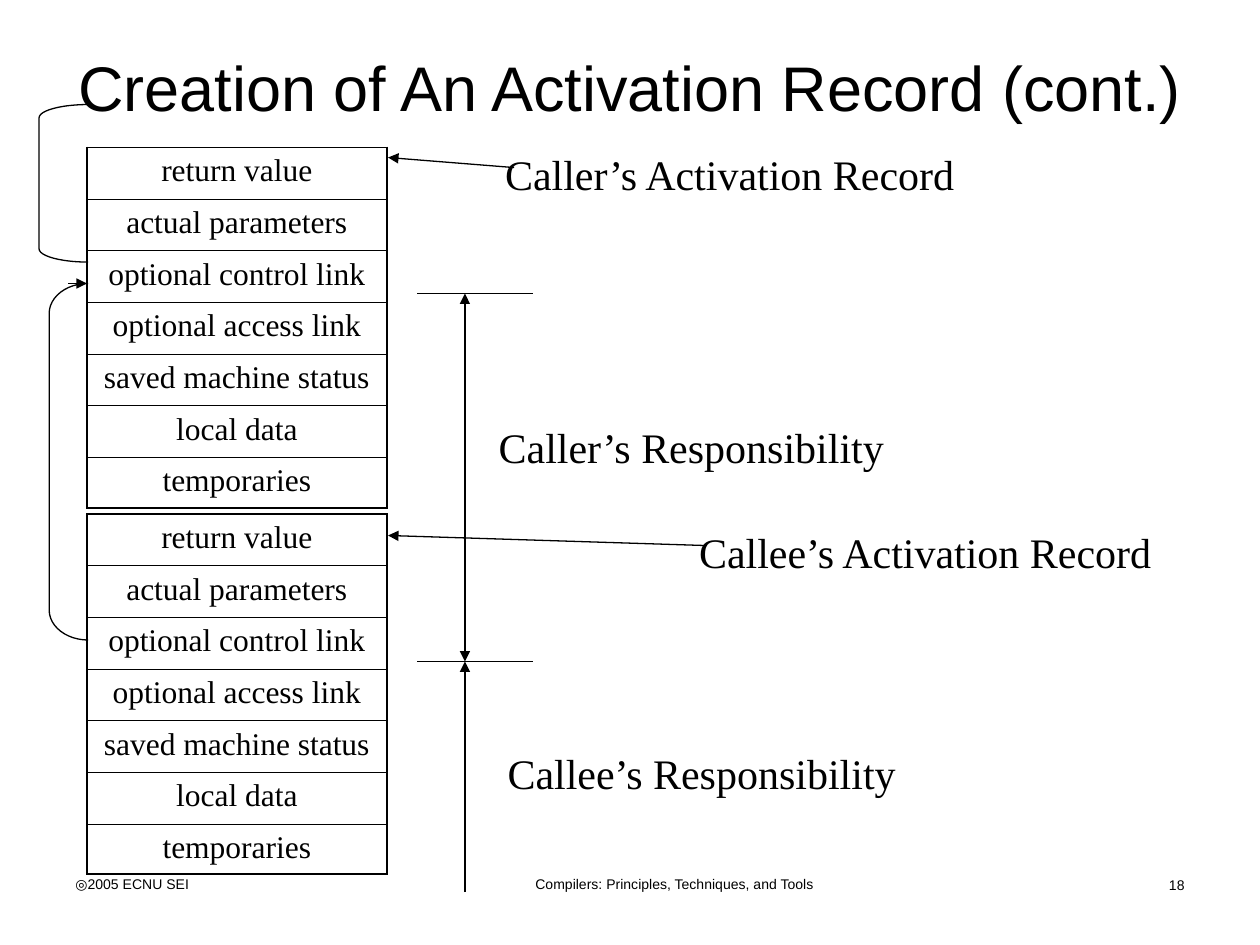
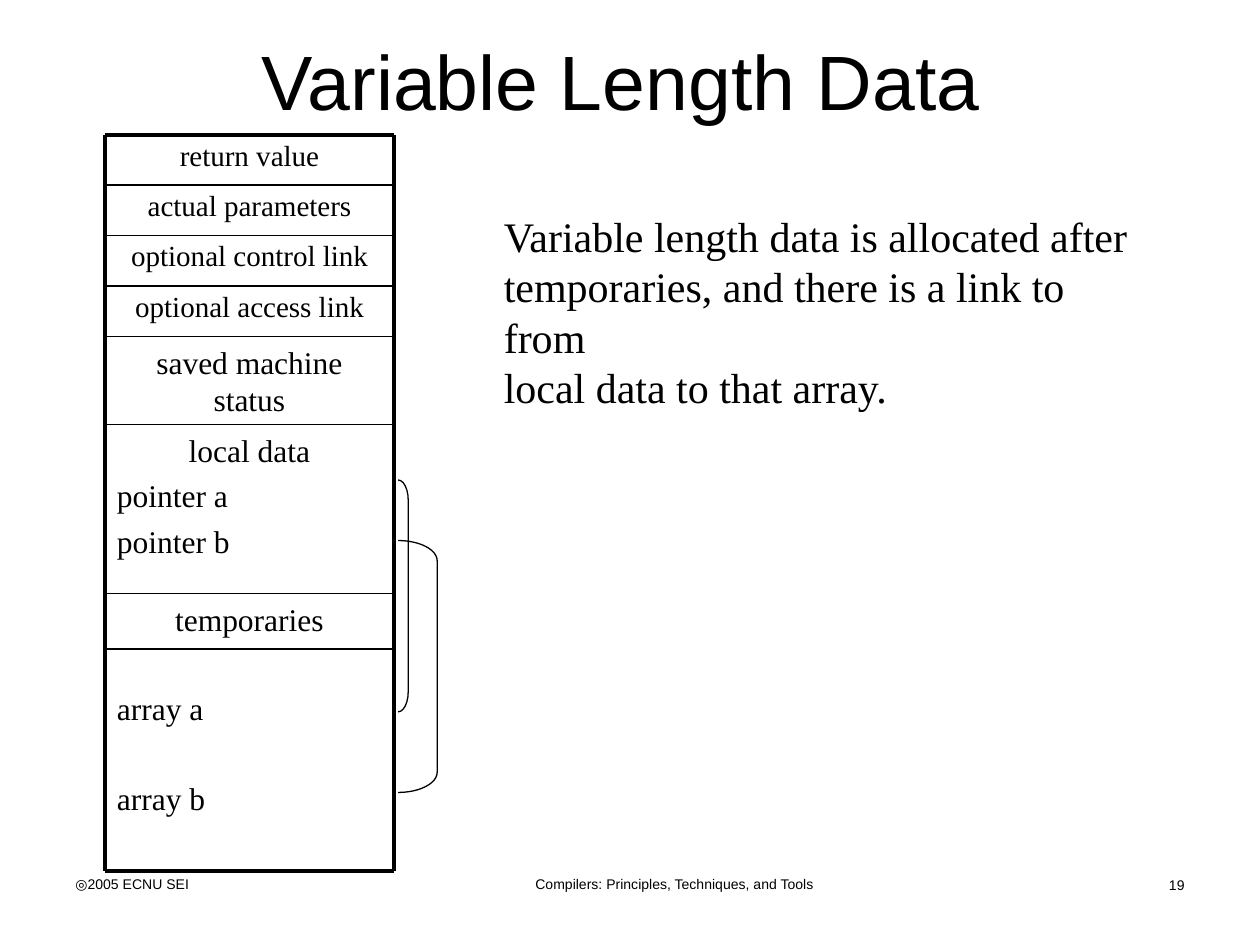
from itertools import accumulate
from lxml.etree import SubElement
from pptx import Presentation
from pptx.dml.color import RGBColor
from pptx.enum.shapes import MSO_CONNECTOR, MSO_SHAPE
from pptx.enum.text import MSO_ANCHOR, MSO_AUTO_SIZE, PP_ALIGN
from pptx.oxml.ns import qn
from pptx.util import Inches, Pt

COLORS = {"ink": "000000", "paper": "FFFFFF"}
SANS, SERIF = "Arial", "Times New Roman"
LEFT, CENTER, RIGHT = PP_ALIGN.LEFT, PP_ALIGN.CENTER, PP_ALIGN.RIGHT

FIELDS = ["return value", "actual parameters", "optional control link",
          "optional access link", "saved machine status", "local data", "temporaries"]

RECORD_LEFT, RECORD_WIDTH = 0.69, 2.38
RECORD_TOPS = [1.17, 4.08]
FIELD_HEIGHTS = [0.41] * 6 + [0.4]
CONTROL_LINKS = [((0.39, 2.25, 0.31, 2.83), 0.77), ((0.31, 0.83, 0.39, 1.25), 0.27)]
RECORD_LABELS = [
    ("Caller’s Responsibility", (3.86, 3.3, 3.26, 0.5)),
    ("Callee’s Responsibility", (3.93, 5.88, 3.3, 0.5)),
    ("Caller’s Activation Record", (3.91, 1.13, 3.79, 0.5)),
    ("Callee’s Activation Record", (5.45, 4.13, 3.83, 0.5)),
]
SPAN_X, SPAN_TOP, SPAN_SPLIT, SPAN_BOTTOM = 3.69, 2.33, 5.25, 7.08
POINTERS = [((0.54, 2.25), (0.69, 2.25)), ((5.61, 4.33), (3.08, 4.25)),
            ((4.08, 1.33), (3.08, 1.25)),
            ((SPAN_X, SPAN_BOTTOM), (SPAN_X, SPAN_SPLIT))]

LAYOUT_LEFT, LAYOUT_RIGHT, LAYOUT_TOP = 0.83, 3.13, 1.07
SECTION_HEIGHTS = [0.4] * 4 + [0.7, 1.34, 2.2]
COMPACT_SECTIONS = 4
SECTION_DETAILS = {"local data": (["pointer a", "pointer b"], 4.5),
                   "temporaries": (["array a", "array b"], 29.7)}
ARRAY_DIVIDER_Y = 5.15
ARRAY_LINKS = [((3.16, 3.81, 0.08, 1.84), 2), ((3.16, 4.29, 0.31, 2), 0.52)]
EXPLANATION = ["Variable length data is allocated after",
               "temporaries, and there is a link to from",
               "local data to that array."]


def color(name):
    return RGBColor.from_string(COLORS[name])


def style(paragraph, size, font, align=LEFT):
    paragraph.alignment = align
    for run in paragraph.runs:
        run.font.size, run.font.name = Pt(size), font
        run.font.color.rgb = color("ink")


def add_text(slide, box, lines, size, font=SERIF, align=LEFT, wrap=True):
    frame = slide.shapes.add_textbox(*map(Inches, box)).text_frame
    frame.word_wrap = wrap
    frame.auto_size = MSO_AUTO_SIZE.NONE if wrap else MSO_AUTO_SIZE.SHAPE_TO_FIT_TEXT
    frame.text = "\n".join(lines)
    for paragraph in frame.paragraphs:
        style(paragraph, size, font, align)
    return frame


def add_line(slide, start, end, width=0.75, arrows=()):
    line = slide.shapes.add_connector(MSO_CONNECTOR.STRAIGHT, *map(Inches, (*start, *end)))
    line.line.color.rgb = color("ink")
    line.line.width = Pt(width)
    properties = line.line._get_or_add_ln()
    for arrow in arrows:
        SubElement(properties, qn(f"a:{arrow}"), type="triangle")
    SubElement(line._element.spPr, qn("a:effectLst"))


def add_bracket(slide, kind, box, bend):
    bracket = slide.shapes.add_shape(kind, *map(Inches, box))
    bracket.adjustments[0] = bend
    bracket.shadow.inherit = False
    bracket.fill.background()
    bracket.line.color.rgb = color("ink")
    bracket.line.width = Pt(0.75)


def add_border(cell, side, width):
    border = SubElement(cell._tc.get_or_add_tcPr(), qn(f"a:ln{side}"), w=str(Pt(width)))
    fill = SubElement(border, qn("a:solidFill"))
    SubElement(fill, qn("a:srgbClr"), val=COLORS["ink"])


def add_record(slide, top):
    box = (RECORD_LEFT, top, RECORD_WIDTH, sum(FIELD_HEIGHTS))
    record = slide.shapes.add_table(len(FIELDS), 1, *map(Inches, box)).table
    record.first_row = record.horz_banding = False
    last = len(FIELDS) - 1
    for i, (field, height) in enumerate(zip(FIELDS, FIELD_HEIGHTS)):
        record.rows[i].height = Inches(height)
        cell = record.cell(i, 0)
        cell.text_frame.text = field
        style(cell.text_frame.paragraphs[0], 18, SERIF, CENTER)
        widths = {"L": 1.08, "R": 1.08, "T": 0.45 if i else 1.08,
                  "B": 0.45 if i < last else 1.08}
        for side, width in widths.items():
            add_border(cell, side, width)
        cell.fill.background()


def add_slide(deck, title, title_box, title_size, number):
    slide = deck.slides.add_slide(deck.slide_layouts[6])
    slide.background.fill.solid()
    slide.background.fill.fore_color.rgb = color("paper")
    heading = add_text(slide, title_box, [title], title_size, SANS, CENTER)
    heading.vertical_anchor = MSO_ANCHOR.MIDDLE
    footers = [("Compilers: Principles, Techniques, and Tools", (3.27, 6.9, 4.17, 0.28), CENTER),
               (str(number), (8.15, 6.91, 1.35, 0.23), RIGHT),
               ("◎2005 ECNU SEI", (0.5, 6.9, 2.33, 0.31), LEFT)]
    for text, box, align in footers:
        add_text(slide, box, [text], 8, SANS, align)
    return slide


def build_activation_records(deck):
    slide = add_slide(deck, "Creation of An Activation Record (cont.)",
                      (0.5, 0.3, 9, 0.77), 36, 18)
    for top in RECORD_TOPS:
        add_record(slide, top)
    for box, bend in CONTROL_LINKS:
        add_bracket(slide, MSO_SHAPE.LEFT_BRACKET, box, bend)
    add_line(slide, (SPAN_X, SPAN_TOP), (SPAN_X, SPAN_SPLIT), arrows=("headEnd", "tailEnd"))
    for y in (SPAN_TOP, SPAN_SPLIT):
        add_line(slide, (3.31, y), (4.23, y))
    for start, end in POINTERS:
        add_line(slide, start, end, arrows=("tailEnd",))
    for label, box in RECORD_LABELS:
        add_text(slide, box, [label], 24, wrap=False)


def build_variable_length(deck):
    slide = add_slide(deck, "Variable Length Data", (0.43, 0.21, 9, 0.85), 44, 19)
    edges = list(accumulate(SECTION_HEIGHTS, initial=LAYOUT_TOP))
    for i, (field, top, height) in enumerate(zip(FIELDS, edges, SECTION_HEIGHTS)):
        details, gap = SECTION_DETAILS.get(field, ([], 0))
        compact = i < COMPACT_SECTIONS
        section = add_text(slide, (LAYOUT_LEFT, top, LAYOUT_RIGHT - LAYOUT_LEFT, height),
                           [field, *details], 16.6 if compact else 18)
        heading, *items = section.paragraphs
        heading.alignment = CENTER
        if compact:
            heading.line_spacing = 0.9
        for item in items:
            item.space_before = Pt(gap)
    for y in edges:
        outer = y in (edges[0], edges[-1])
        add_line(slide, (LAYOUT_LEFT, y), (LAYOUT_RIGHT, y), 2.25 if outer else 1)
    for x in (LAYOUT_LEFT, LAYOUT_RIGHT):
        add_line(slide, (x, edges[0]), (x, edges[-1]), 2.25)
    add_line(slide, (LAYOUT_LEFT, ARRAY_DIVIDER_Y), (LAYOUT_RIGHT, ARRAY_DIVIDER_Y))
    for box, bend in ARRAY_LINKS:
        add_bracket(slide, MSO_SHAPE.RIGHT_BRACKET, box, bend)
    add_text(slide, (3.9, 1.62, 5.38, 1.3), EXPLANATION, 24, wrap=False)


def main():
    deck = Presentation()
    deck.slide_width, deck.slide_height = Inches(10), Inches(7.5)
    build_activation_records(deck)
    build_variable_length(deck)
    deck.save("out.pptx")


if __name__ == "__main__":
    main()
